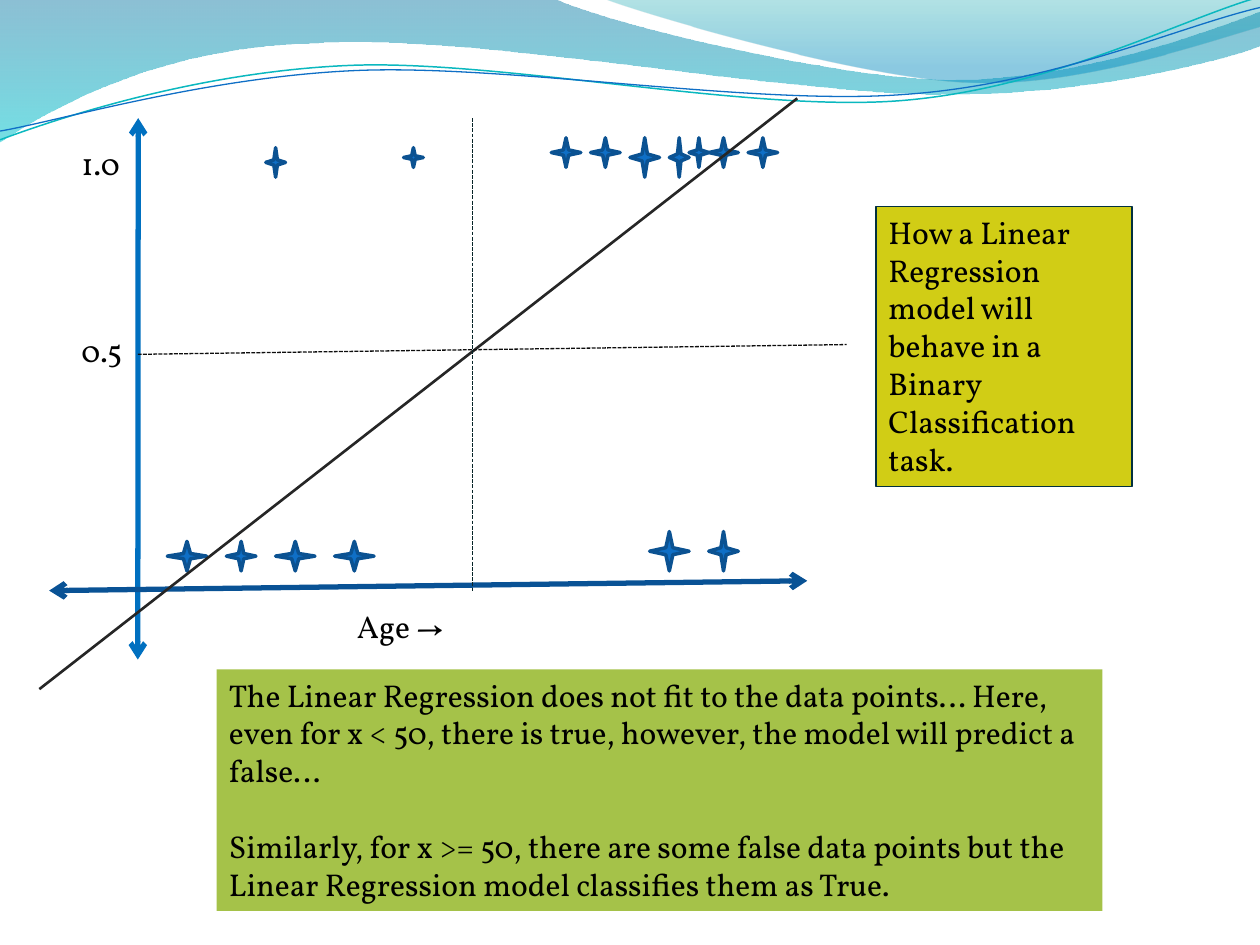
import math

from pptx import Presentation
from pptx.dml.color import RGBColor
from pptx.enum import dml, shapes, text
from pptx.oxml.ns import qn
from pptx.util import Pt
from lxml import etree

FONT = "Vollkorn"
GRID = 5.625  # points per cell of the star grid
TILT = -2.7  # degrees, clockwise, of the two wave lines

BAND = [(0, -0.7), (316.8, -0.7),
        (342.7, 12.2, 478.1, 45.4, 545.8, 45.4),
        (614.2, 45.4, 689.8, 18.7, 720, 6.5), (720.7, 25.9),
        (707.8, 31.7, 626.4, 54.7, 537.1, 54),
        (447.8, 54, 275, 20.2, 185, 24.5),
        (92.9, 25.9, 33.1, 59.8, -0.7, 81.4)]
CREST = [(344.9, -0.7), (366.5, 7.9, 491, 44.6, 553.7, 46.8),
         (616.3, 49.7, 691.9, 23, 720, 15.1), (720, 0)]
TEAL_WAVE = [(0, 79.9), (34.6, 67, 113.8, 41, 199.4, 37.4),
             (284.4, 33.8, 427, 64.1, 513.4, 57.6),
             (599.8, 51.1, 675.4, 10.8, 718.6, -1.4)]
BLUE_WAVE = [(0, 74.9), (33.8, 69.1, 118.1, 43.9, 203.8, 40.3),
             (290.2, 36.7, 430.6, 60.5, 516.2, 54),
             (601.9, 48.2, 673.5, 15.1, 720, 4.3)]

# left, top, width, height in grid cells
TRUE_STARS = [(41, 15, 2, 2), (27, 15, 2, 3), (56, 14, 3, 3), (64, 14, 3, 4),
              (70, 14, 2, 3), (76, 14, 3, 3), (72, 14, 3, 3), (60, 14, 3, 3),
              (68, 14, 2, 4)]
FALSE_STARS = [(17, 55, 4, 3), (23, 55, 3, 3), (28, 55, 4, 3), (34, 55, 4, 3),
               (66, 54, 4, 4), (72, 54, 3, 4)]


def rgb(value):
    return RGBColor.from_string(value)


def set_line(sp, color, width):
    sp.line.color.rgb = rgb(color)
    sp.line.width = Pt(width)


def pairs(seg):
    return list(zip(seg[::2], seg[1::2]))


def add_outline(s, segments, close):
    """Draw line ends (x, y) and cubic segments (6 numbers)."""
    ends = [tuple(Pt(v) for v in seg[-2:]) for seg in segments]
    builder = s.shapes.build_freeform(*ends[0])
    builder.add_line_segments(ends[1:], close=close)
    sp = builder.convert_to_shape()
    sp.shadow.inherit = False
    steps = list(sp._element.spPr.iter(qn("a:lnTo")))
    for step, seg in zip(steps, segments[1:]):
        if len(seg) == 6:
            curve = etree.Element(qn("a:cubicBezTo"))
            for x, y in pairs(seg):
                pt = etree.SubElement(curve, qn("a:pt"))
                pt.set("x", str(Pt(x) - sp.left))
                pt.set("y", str(Pt(y) - sp.top))
            step.getparent().replace(step, curve)
    return sp


def add_wave_fill(s, segments, stops):
    """Fill from top to bottom; each stop is position, colour, opacity %."""
    sp = add_outline(s, segments, True)
    sp.line.fill.background()
    sp.fill.gradient()
    sp.fill.gradient_angle = 270
    for stop, (position, color, _) in zip(sp.fill.gradient_stops, stops):
        stop.position = position
        stop.color.rgb = rgb(color)
    for clr, (_, _, opacity) in zip(sp._element.spPr.iter(qn("a:srgbClr")), stops):
        etree.SubElement(clr, qn("a:alpha")).set("val", str(opacity * 1000))


def level(seg, center):
    """Turn a segment back by the tilt that the shape itself carries."""
    cos, sin = math.cos(math.radians(-TILT)), math.sin(math.radians(-TILT))
    cx, cy = center
    turned = []
    for x, y in pairs(seg):
        dx, dy = x - cx, y - cy
        turned += [cx + dx * cos - dy * sin, cy + dx * sin + dy * cos]
    return turned


def add_wave_line(s, segments, center, color, width):
    sp = add_outline(s, [level(seg, center) for seg in segments], False)
    sp.rotation = TILT
    sp.fill.background()
    set_line(sp, color, width)


def add_line(s, start, end, color, width, arrows=False, dashed=False):
    sp = s.shapes.add_connector(shapes.MSO_CONNECTOR.STRAIGHT,
                                *[Pt(v) for v in start + end])
    set_line(sp, color, width)
    if dashed:
        sp.line.dash_style = dml.MSO_LINE.SQUARE_DOT
    if arrows:
        for tag in ("a:headEnd", "a:tailEnd"):
            etree.SubElement(sp.line._get_or_add_ln(), qn(tag)).set("type", "arrow")
    etree.SubElement(sp._element.spPr, qn("a:effectLst"))


def add_star(s, cells):
    sp = s.shapes.add_shape(shapes.MSO_SHAPE.STAR_4_POINT,
                            *[Pt(c * GRID) for c in cells])
    sp.shadow.inherit = False
    sp.fill.solid()
    sp.fill.fore_color.rgb = rgb("0F6FC6")
    set_line(sp, "0B5292", 2)


def add_text(s, box, paragraphs, fill=None):
    sp = s.shapes.add_textbox(*[Pt(v) for v in box])
    if fill:
        sp.fill.solid()
        sp.fill.fore_color.rgb = rgb(fill)
    tf = sp.text_frame
    tf.word_wrap = True
    tf.auto_size = text.MSO_AUTO_SIZE.SHAPE_TO_FIT_TEXT
    tf.text = "\n".join(paragraphs)
    for i, p in enumerate(tf.paragraphs):
        if i:
            p.space_before = Pt(21.7)
        for r in p.runs:
            r.font.name = FONT
            r.font.size = Pt(18)
            r.font.color.rgb = rgb("000000")
    return sp


def main():
    prs = Presentation()
    prs.slide_width, prs.slide_height = Pt(720), Pt(540)
    s = prs.slides.add_slide(prs.slide_layouts[6])

    add_wave_fill(s, BAND, [(0, "0074A1", 45), (1, "00C6CF", 55)])
    add_wave_fill(s, CREST, [(0, "00A1A9", 30), (0.8, "008BBF", 45)])
    add_wave_line(s, TEAL_WAVE, (359.3, 41.4), "0AB8BF", 0.85)
    add_wave_line(s, BLUE_WAVE, (359.6, 42.5), "0F6FC6", 0.75)

    add_line(s, (79, 67.5), (78.75, 376.9), "0070C0", 3, arrows=True)
    add_line(s, (28.1, 337.5), (461.3, 331.9), "095295", 3, arrows=True)
    for cells in TRUE_STARS + FALSE_STARS:
        add_star(s, cells)
    add_line(s, (455.6, 56.2), (22.5, 393.8), "262626", 1.5)
    add_line(s, (78.75, 202.5), (483.8, 196.9), "0D0D0D", 0.75, dashed=True)
    add_line(s, (270, 67.5), (270, 337.5), "072428", 0.75, dashed=True)

    add_text(s, (39.4, 185.6, 73.1, 29.1), ["0.5"])
    add_text(s, (39.4, 78.75, 50.6, 29.1), ["1.0"])
    add_text(s, (196.9, 343.1, 157.5, 29.1), ["Age →"])
    add_text(s, (123.75, 382.5, 506.25, 138), [
        "The Linear Regression does not fit to the data points… Here, even for "
        "x < 50, there is true, however, the model will predict a false…",
        "Similarly, for x >= 50, there are some false data points but the "
        "Linear Regression model classifies them as True."], fill="A5C249")
    note = add_text(s, (500.63, 118.13, 146.25, 160), [
        "How a Linear Regression model will behave in a Binary "
        "Classification task."], fill="D1CD15")
    set_line(note, "02303E", 0.75)

    prs.save("out.pptx")


if __name__ == "__main__":
    main()
